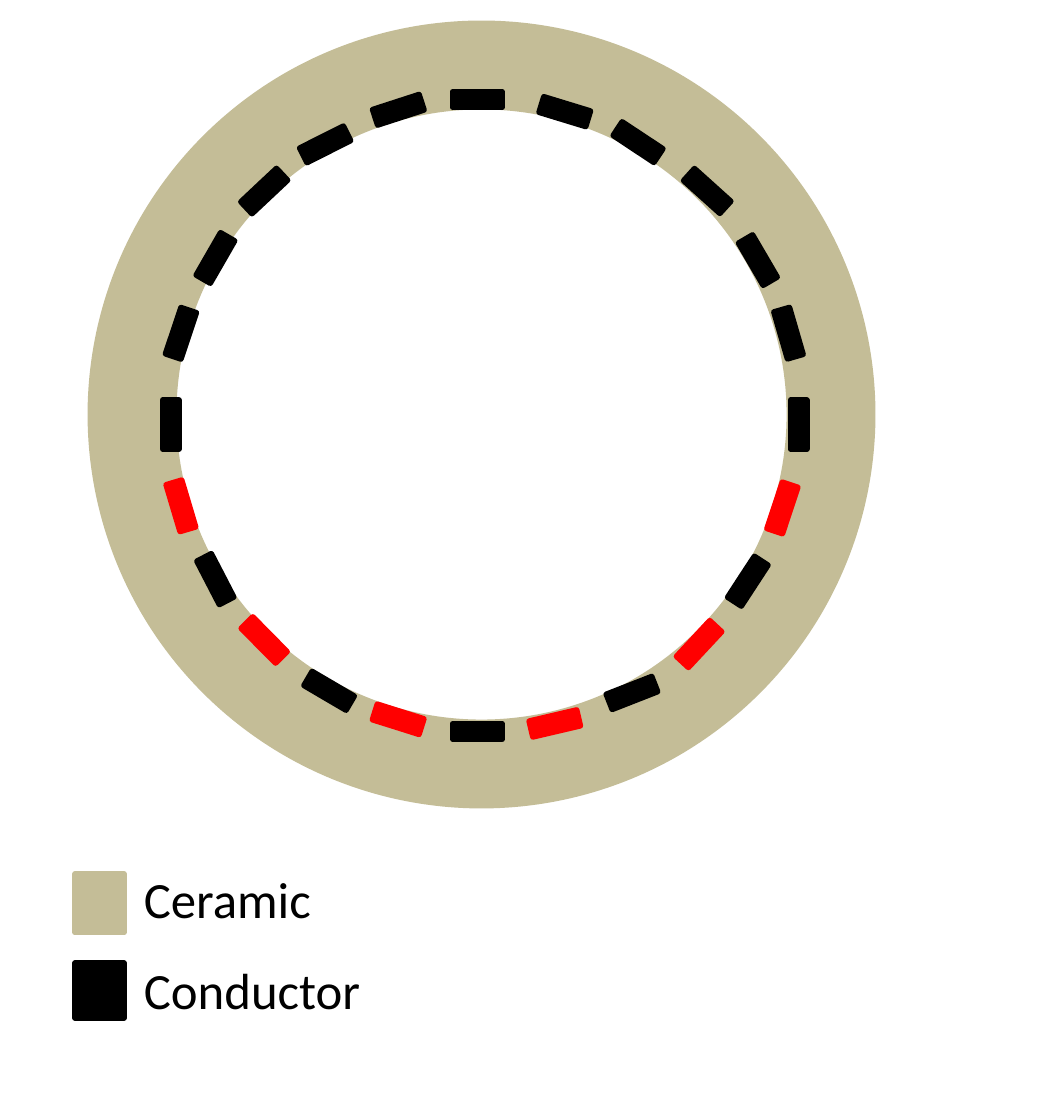
from pptx import Presentation
from pptx.dml.color import RGBColor
from pptx.enum import shapes, text
from pptx.util import Cm, Inches, Pt

CERAMIC = RGBColor(0xC4, 0xBD, 0x97)
BLACK = RGBColor(0, 0, 0)
RED = RGBColor(0xFF, 0, 0)

# Conductors clockwise from the top: left, top, tilt in degrees, colour
CONDUCTORS = [
    (2.23, 0.45, 0, BLACK),
    (2.66, 0.51, 17, BLACK),
    (3.02, 0.66, 33.5, BLACK),
    (3.36, 0.90, 42, BLACK),
    (3.61, 1.24, 59.7, BLACK),
    (3.76, 1.60, 73.8, BLACK),
    (3.81, 2.05, 90, BLACK),
    (3.73, 2.46, 108.4, RED),
    (3.56, 2.82, 123.1, BLACK),
    (3.32, 3.13, 133, RED),
    (2.99, 3.37, 158.6, BLACK),
    (2.61, 3.52, 166.8, RED),
    (2.23, 3.56, 0, BLACK),
    (1.84, 3.50, 17.5, RED),
    (1.50, 3.36, 30.4, BLACK),
    (1.18, 3.11, 45.4, RED),
    (0.94, 2.81, 62.6, BLACK),
    (0.77, 2.45, 73.4, RED),
    (0.72, 2.05, 90, BLACK),
    (0.77, 1.60, 108.5, BLACK),
    (0.94, 1.23, 119.9, BLACK),
    (1.18, 0.90, 136.8, BLACK),
    (1.48, 0.67, 153.2, BLACK),
    (1.84, 0.50, 162, BLACK),
]
BAR_WIDTH, BAR_HEIGHT = 0.24, 0.08

# Legend: label, colour, swatch top and height, label top and width
LEGEND = [
    ("Ceramic", CERAMIC, 4.30, 0.29, 4.22, 1.03),
    ("Conductor", BLACK, 4.74, 0.27, 4.67, 1.28),
]
SWATCH_LEFT = 0.37


def add_part(page, kind, left, top, width, height, color, line_width=2):
    part = page.shapes.add_shape(
        kind, Inches(left), Inches(top), Inches(width), Inches(height))
    part.shadow.inherit = False
    part.fill.solid()
    part.fill.fore_color.rgb = color
    part.line.color.rgb = color
    part.line.width = Pt(line_width)
    return part


def add_label(page, label, left, top, width):
    box = page.shapes.add_textbox(
        Inches(left), Inches(top), Inches(width), Inches(0.4))
    frame = box.text_frame
    frame.word_wrap = False
    frame.auto_size = text.MSO_AUTO_SIZE.SHAPE_TO_FIT_TEXT
    frame.text = label
    font = frame.paragraphs[0].runs[0].font
    font.name = "Calibri"
    font.size = Pt(18)
    font.color.rgb = BLACK


def main():
    deck = Presentation()
    deck.slide_width, deck.slide_height = Cm(13), Cm(14)
    page = deck.slides.add_slide(deck.slide_layouts[6])
    rectangle = shapes.MSO_SHAPE.RECTANGLE

    # Ceramic ring: a thick outline with an open centre
    ring = add_part(page, shapes.MSO_SHAPE.OVAL,
                    0.65, 0.32, 3.44, 3.44, CERAMIC, 31.5)
    ring.fill.background()

    # Conductors around the inside of the ring
    for left, top, tilt, color in CONDUCTORS:
        bar = add_part(page, rectangle, left, top, BAR_WIDTH, BAR_HEIGHT, color)
        bar.rotation = tilt

    # Legend
    for label, color, top, height, label_top, label_width in LEGEND:
        add_part(page, rectangle, SWATCH_LEFT, top, BAR_WIDTH, height, color)
        add_label(page, label, SWATCH_LEFT + BAR_WIDTH, label_top, label_width)

    deck.save("out.pptx")


if __name__ == "__main__":
    main()
